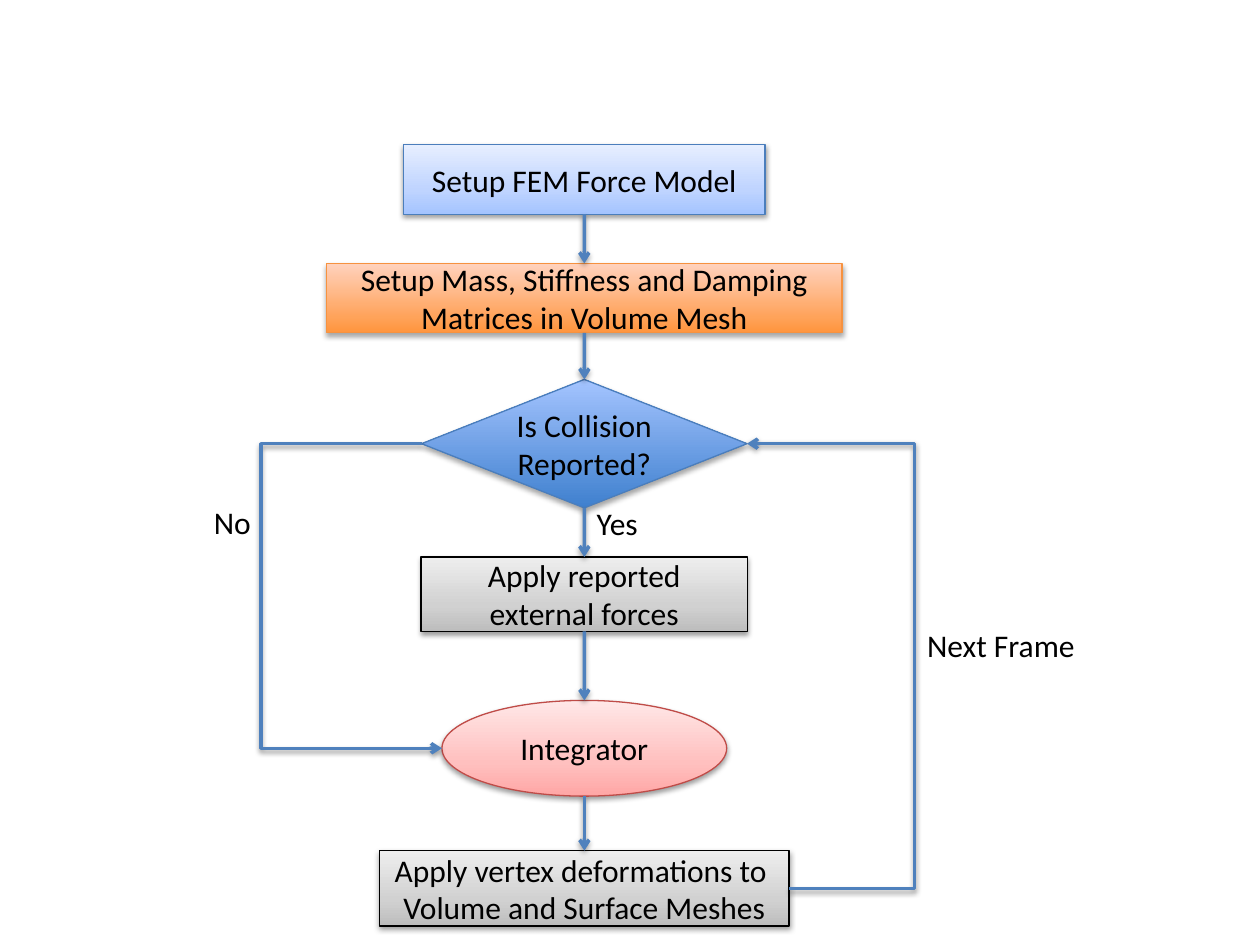
import collections
import lxml.etree
import pptx
import pptx.dml.color
import pptx.enum.shapes
import pptx.enum.text
import pptx.oxml.ns
import pptx.util

Cm, Pt = pptx.util.Cm, pptx.util.Pt
Shape = pptx.enum.shapes.MSO_SHAPE
Route = pptx.enum.shapes.MSO_CONNECTOR
Align = pptx.enum.text.PP_ALIGN
qn = pptx.oxml.ns.qn

Box = collections.namedtuple("Box", "left top width height")
Look = collections.namedtuple("Look", "line stops shadow")
Theme = collections.namedtuple("Theme", "font size ink arrow arrow_width border looks")

SOFT = (38, 1.6)
THEME = Theme(
    font="Calibri", size=18, ink="000000", arrow="4F81BD", arrow_width=2, border=0.75,
    looks={
        "model": Look("4B7EBC", [(0, "A4C4FF"), (35, "BFD4FF"), (100, "E6EEFF")], SOFT),
        "matrices": Look("F69240", [(0, "FF953E"), (100, "FFD2BD")], (35, 1.8)),
        "decision": Look("4B7EBC", [(0, "3F80CE"), (100, "A4C4FF")], (35, 1.8)),
        "apply": Look("000000", [(0, "BDBDBD"), (35, "D1D1D1"), (100, "EEEEEE")], SOFT),
        "integrator": Look("BF4C48", [(0, "FFA6A5"), (35, "FFC0BF"), (100, "FFE7E7")], SOFT),
    },
)

AXIS = 7.72
STEPS = [
    ("model", Shape.RECTANGLE, 0, 7.29, 1.4, "Setup FEM Force Model"),
    ("matrices", Shape.RECTANGLE, 2.39, 10.39, 1.4,
     "Setup Mass, Stiffness and Damping Matrices in Volume Mesh"),
    ("decision", Shape.DIAMOND, 4.73, 6.56, 2.59, "Is Collision Reported?"),
    ("apply", Shape.RECTANGLE, 8.31, 6.58, 1.5, "Apply reported external forces"),
    ("integrator", Shape.OVAL, 11.2, 5.74, 1.93, "Integrator"),
    ("apply", Shape.RECTANGLE, 14.23, 8.26, 1.52,
     "Apply vertex deformations to \nVolume and Surface Meshes"),
]
LABELS = [("No", 0, 7.09, 1.27), ("Yes", AXIS, 7.11, 1.4), ("Next Frame", 14.38, 9.58, 3.53)]
NO_LANE, FRAME_LANE = 1.2, 14.38
SIDES = ["top", "left", "bottom", "right"]


def rgb(code):
    """Return the colour for a hexadecimal code."""
    return pptx.dml.color.RGBColor.from_string(code)


def add_node(parent, tag, **attributes):
    """Append a DrawingML element and return it."""
    values = {name: str(value) for name, value in attributes.items()}
    return lxml.etree.SubElement(parent, qn(tag), values)


def add_shadow(properties, opacity, distance):
    """Give shape properties a soft shadow that falls downwards."""
    shadow = add_node(add_node(properties, "a:effectLst"), "a:outerShdw",
                      blurRad=Pt(3.1), dist=Pt(distance), dir=5400000, rotWithShape=0)
    add_node(add_node(shadow, "a:srgbClr", val="000000"), "a:alpha", val=opacity * 1000)


def write_text(frame, text, align=Align.LEFT, size=THEME.size, color=THEME.ink):
    """Write text into a frame, one paragraph for each line."""
    frame.text = text
    for paragraph in frame.paragraphs:
        paragraph.alignment = align
        font = paragraph.runs[0].font
        font.name, font.size, font.color.rgb = THEME.font, Pt(size), rgb(color)


def add_step(slide, box, look, outline, top, width, height, text):
    """Place one step of the flow, centred on the axis."""
    step = slide.shapes.add_shape(outline, Cm(box.left + AXIS - width / 2), Cm(box.top + top),
                                  Cm(width), Cm(height))
    style = THEME.looks[look]
    properties = step._element.spPr
    gradient = add_node(properties, "a:gradFill", rotWithShape=1)
    stops = add_node(gradient, "a:gsLst")
    for position, color in style.stops:
        add_node(add_node(stops, "a:gs", pos=position * 1000), "a:srgbClr", val=color)
    add_node(gradient, "a:lin", ang=16200000, scaled=0)
    step.line.color.rgb, step.line.width = rgb(style.line), Pt(THEME.border)
    add_shadow(properties, *style.shadow)
    step.text_frame.word_wrap = True
    step.text_frame.vertical_anchor = pptx.enum.text.MSO_ANCHOR.MIDDLE
    write_text(step.text_frame, text, align=Align.CENTER)
    return step


def side_point(step, side):
    """Return the middle of one side of a step."""
    middle, centre = step.left + step.width // 2, step.top + step.height // 2
    return {"top": (middle, step.top), "left": (step.left, centre),
            "bottom": (middle, step.top + step.height),
            "right": (step.left + step.width, centre)}[side]


def link(slide, source, source_side, target, target_side, lane=None):
    """Join two steps with an arrow, bent through a vertical lane if one is given."""
    start, end = side_point(source, source_side), side_point(target, target_side)
    arrow = slide.shapes.add_connector(Route.STRAIGHT if lane is None else Route.ELBOW,
                                       *start, *end)
    if lane is not None:
        bend = round((lane - start[0]) / (end[0] - start[0]) * 100000)
        guides = arrow._element.spPr.find(qn("a:prstGeom")).get_or_add_avLst()
        add_node(guides, "a:gd", name="adj1", fmla=f"val {bend}")
    ends = arrow._element.nvCxnSpPr.cNvCxnSpPr
    for tag, step, side in [("a:stCxn", source, source_side), ("a:endCxn", target, target_side)]:
        sites = 2 if step.auto_shape_type == Shape.OVAL else 1
        add_node(ends, tag, id=step.shape_id, idx=SIDES.index(side) * sites)
    arrow.line.color.rgb, arrow.line.width = rgb(THEME.arrow), Pt(THEME.arrow_width)
    add_node(arrow.line._get_or_add_ln(), "a:tailEnd", type="arrow")
    add_shadow(arrow._element.spPr, *SOFT)


def add_label(slide, box, text, left, top, width):
    """Place the label of a branch."""
    label = slide.shapes.add_textbox(Cm(box.left + left), Cm(box.top + top), Cm(width), Cm(1.02))
    label.text_frame.word_wrap = False
    label.text_frame.auto_size = pptx.enum.text.MSO_AUTO_SIZE.SHAPE_TO_FIT_TEXT
    write_text(label.text_frame, text)


def draw_flow(slide, box):
    """Draw the simulation loop inside a box."""
    steps = [add_step(slide, box, *step) for step in STEPS]
    for source, target in zip(steps, steps[1:]):
        link(slide, source, "bottom", target, "top")
    decision, integrator, deformation = steps[2], steps[4], steps[5]
    link(slide, decision, "left", integrator, "left", lane=Cm(box.left + NO_LANE))
    link(slide, deformation, "right", decision, "right", lane=Cm(box.left + FRAME_LANE))
    for label in LABELS:
        add_label(slide, box, *label)


def main():
    """Build the deck and save it."""
    deck = pptx.Presentation()
    deck.slide_width, deck.slide_height = Cm(25.4), Cm(19.05)
    slide = deck.slides.add_slide(deck.slide_layouts[6])
    draw_flow(slide, Box(4.06, 2.92, 17.91, 15.75))
    deck.save("out.pptx")


main()
